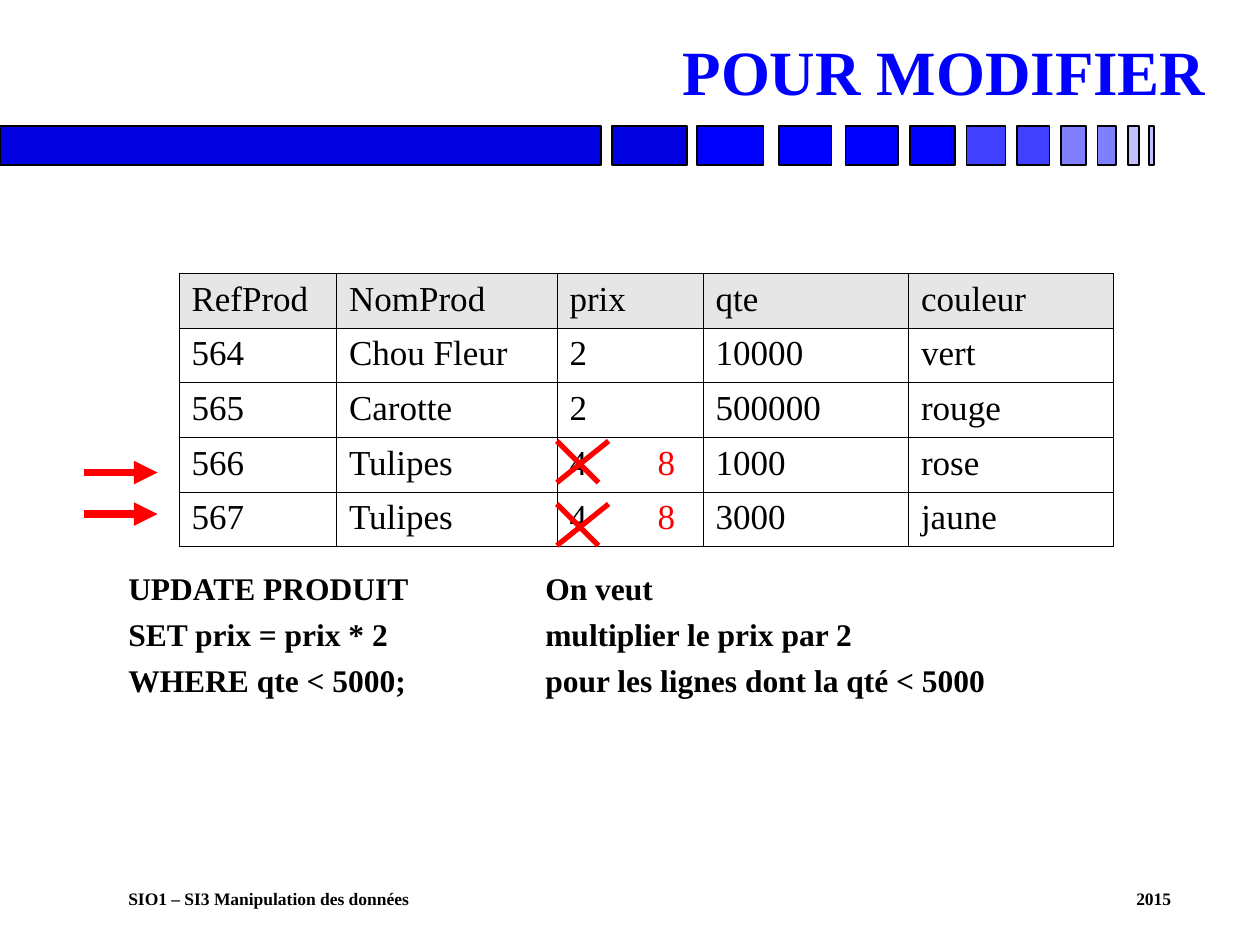
from lxml import etree
from pptx import Presentation
from pptx.dml.color import RGBColor
from pptx.enum.shapes import MSO_CONNECTOR, MSO_SHAPE
from pptx.enum.text import MSO_ANCHOR, MSO_AUTO_SIZE, PP_ALIGN
from pptx.oxml.ns import qn
from pptx.util import Inches, Pt

RECTANGLE = MSO_SHAPE.RECTANGLE
STRAIGHT = MSO_CONNECTOR.STRAIGHT
BOTTOM = MSO_ANCHOR.BOTTOM
RIGHT = PP_ALIGN.RIGHT
NO_AUTOFIT = MSO_AUTO_SIZE.NONE

FONT = "Times New Roman"
BLACK = RGBColor(0x00, 0x00, 0x00)
RED = RGBColor(0xFF, 0x00, 0x00)
GREY = RGBColor(0xE6, 0xE6, 0xE6)
NAVY = RGBColor(0x00, 0x00, 0xE0)
BLUE = RGBColor(0x00, 0x00, 0xFF)
MEDIUM = RGBColor(0x40, 0x40, 0xFF)
LIGHT = RGBColor(0x80, 0x80, 0xFF)
PALE = RGBColor(0xC0, 0xC0, 0xFF)


def add_text(p, text, size, color=BLACK, bold=False, tab=None):
    """Add one run to a paragraph, with an optional left tab stop in inches."""
    if tab is not None:
        tabs = etree.SubElement(p._p.get_or_add_pPr(), qn("a:tabLst"))
        etree.SubElement(tabs, qn("a:tab"), pos=str(Inches(tab)), algn="l")
    r = p.add_run()
    r.text = text
    r.font.name = FONT
    r.font.size = Pt(size)
    r.font.bold = bold
    r.font.color.rgb = color


def add_red_line(x1, y1, x2, y2, width, arrow=False):
    line = slide.shapes.add_connector(
        STRAIGHT, Inches(x1), Inches(y1), Inches(x2), Inches(y2))
    line.line.color.rgb = RED
    line.line.width = Pt(width)
    if arrow:
        etree.SubElement(line.line._get_or_add_ln(), qn("a:tailEnd"), type="triangle")
    etree.SubElement(line._element.spPr, qn("a:effectLst"))


prs = Presentation()
prs.slide_width = Inches(10)
prs.slide_height = Inches(7.5)
slide = prs.slides.add_slide(prs.slide_layouts[5])

# Fading bar: left, width, colour
bar = [
    (0, 4.77, NAVY), (4.86, 0.59, NAVY),
    (5.53, 0.53, BLUE), (6.18, 0.42, BLUE), (6.71, 0.42, BLUE), (7.22, 0.36, BLUE),
    (7.67, 0.31, MEDIUM), (8.07, 0.26, MEDIUM),
    (8.42, 0.2, LIGHT), (8.71, 0.15, LIGHT),
    (8.95, 0.09, PALE), (9.12, 0.04, PALE),
]
for left, width, color in bar:
    sp = slide.shapes.add_shape(
        RECTANGLE, Inches(left), Inches(1), Inches(width), Inches(0.31))
    sp.shadow.inherit = False
    sp.fill.solid()
    sp.fill.fore_color.rgb = color
    sp.line.color.rgb = BLACK
    sp.line.width = Pt(1)

# Title
title = slide.shapes.title
title.left, title.top = Inches(0.25), Inches(0.23)
title.width, title.height = Inches(9.42), Inches(0.69)
tf = title.text_frame
tf.auto_size = NO_AUTOFIT
tf.vertical_anchor = BOTTOM
p = tf.paragraphs[0]
p.alignment = RIGHT
p.line_spacing = 0.9
add_text(p, "POUR MODIFIER", 36, BLUE, bold=True)

# Footer
footer = slide.shapes.add_textbox(Inches(0.92), Inches(7), Inches(8.83), Inches(0.26))
tf = footer.text_frame
tf.word_wrap = True
add_text(tf.paragraphs[0], "SIO1 – SI3 Manipulation des données\t2015", 10,
         bold=True, tab=8)

# Query and its meaning, side by side
query = [
    ("UPDATE PRODUIT", "On veut"),
    ("SET prix = prix * 2", "multiplier le prix par 2"),
    ("WHERE qte < 5000;", "pour les lignes dont la qté < 5000"),
]
body = slide.shapes.add_textbox(Inches(0.92), Inches(4.5), Inches(8.17), Inches(1.67))
tf = body.text_frame
tf.word_wrap = True
for i, (sql, meaning) in enumerate(query):
    p = tf.add_paragraph() if i else tf.paragraphs[0]
    add_text(p, f"{sql}\t{meaning}", 18, bold=True, tab=3.31)
    p.line_spacing = 0.9
    if i:
        p.space_before = Pt(6.8)

# Product table; a tab in a cell separates the old value from the new one
rows = [
    ("RefProd", "NomProd", "prix", "qte", "couleur"),
    ("564", "Chou Fleur", "2", "10000", "vert"),
    ("565", "Carotte", "2", "500000", "rouge"),
    ("566", "Tulipes", "4\t8", "1000", "rose"),
    ("567", "Tulipes", "4\t8", "3000", "jaune"),
]
col_widths = [1.25, 1.75, 1.16, 1.63, 1.63]
table = slide.shapes.add_table(
    len(rows), len(col_widths), Inches(1.42), Inches(2.17),
    Inches(7.42), Inches(2.17)).table
table.first_row = False
table.horz_banding = False
for column, width in zip(table.columns, col_widths):
    column.width = Inches(width)
for i, values in enumerate(rows):
    for j, value in enumerate(values):
        cell = table.cell(i, j)
        if i == 0:
            cell.fill.solid()
            cell.fill.fore_color.rgb = GREY
        else:
            cell.fill.background()
        p = cell.text_frame.paragraphs[0]
        old, tab, new = value.partition("\t")
        add_text(p, old + tab, 20, tab=0.7 if new else None)
        if new:
            add_text(p, new, 20, RED)
        tcPr = cell._tc.get_or_add_tcPr()
        for k, side in enumerate(("a:lnL", "a:lnR", "a:lnT", "a:lnB")):
            ln = etree.Element(qn(side), w=str(Pt(0.45)))
            solid = etree.SubElement(ln, qn("a:solidFill"))
            etree.SubElement(solid, qn("a:srgbClr"), val=str(BLACK))
            tcPr.insert(k, ln)

# Arrows to the changed rows, and crosses over the old prices
for y in (3.75, 4.08):
    add_red_line(0.67, y, 1.25, y, 4.5, arrow=True)
for top in (3.5, 4):
    add_red_line(4.42, top, 4.75, top + 0.33, 3)
    add_red_line(4.83, top, 4.42, top + 0.33, 3)

prs.save("out.pptx")
